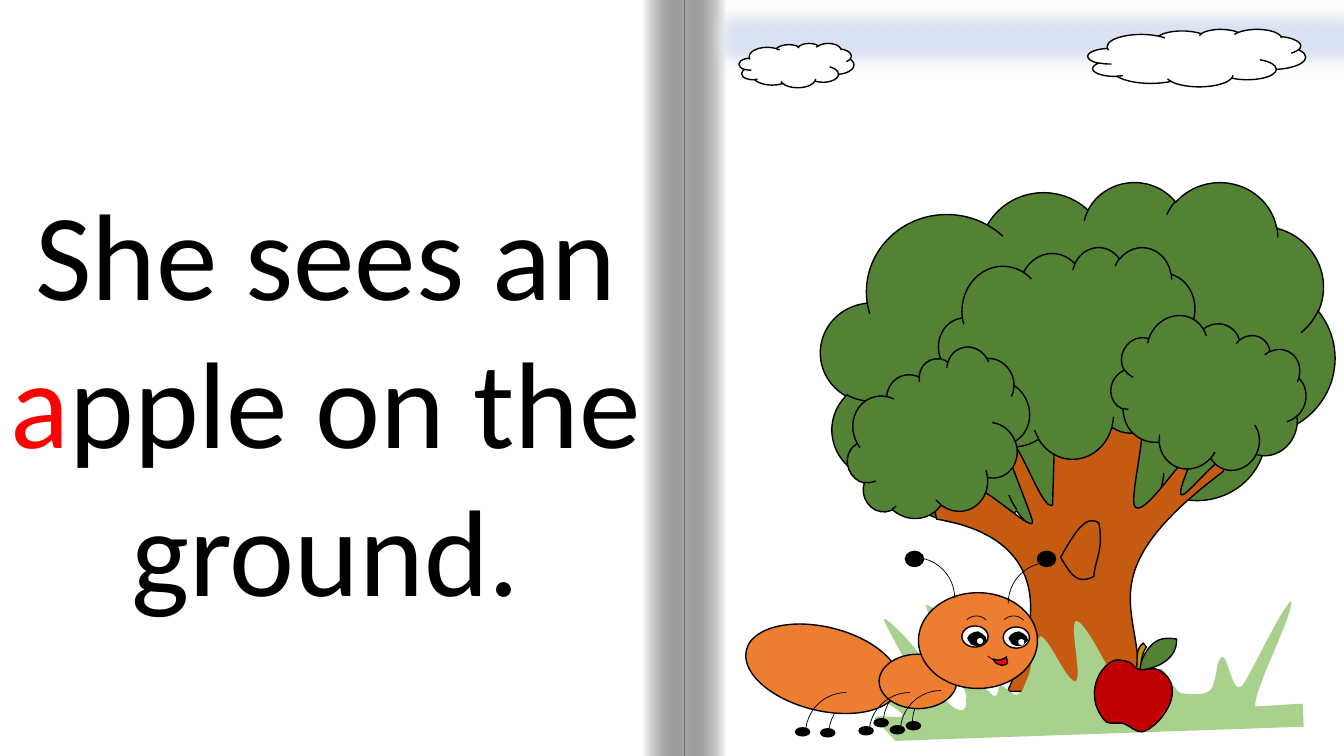
import math
from dataclasses import dataclass
from typing import Optional, Union

from lxml import etree
from pptx import Presentation
from pptx import util as u
from pptx.dml.color import RGBColor
from pptx.enum import shapes, text
from pptx.oxml.ns import qn

COLUMNS, ROWS = 13.33, 7.5
COLUMN, ROW = u.Emu(12192000) / COLUMNS, u.Emu(6858000) / ROWS
KIND = shapes.MSO_SHAPE
Point = tuple[float, float]


@dataclass(frozen=True)
class Theme:
    ink: str = "000000"
    paper: str = "FFFFFF"
    accent: str = "FF0000"
    leaf: str = "548235"
    bark: str = "C55A11"
    grass: str = "A9D18E"
    sky: str = "DAE3F3"
    ant: str = "ED7D31"
    stem: str = "BF9000"
    apple: str = "C00000"
    shine: str = "F6F8FC"
    font: str = "Calibri"
    story: float = 88
    outline: float = 1
    hair: float = 0.5


THEME = Theme()


@dataclass(frozen=True)
class Gradient:
    start: str
    end: str
    angle: float
    end_at: float = 1
    end_alpha: int = 100


Paint = Union[str, Gradient, None]


@dataclass(frozen=True)
class Part:
    col: float
    row: float
    cols: float
    rows: float
    fill: Paint = None
    line: Optional[str] = THEME.ink
    weight: float = THEME.outline
    turn: float = 0
    flips: str = ""
    soft: float = 0
    kind: KIND = KIND.RECTANGLE
    route: str = ""
    shift: float = 0

    def frame(self) -> list[int]:
        return [round(n) for n in (
            (self.col + self.shift) * COLUMN, self.row * ROW, self.cols * COLUMN, self.rows * ROW)]


def cloud(col: float, row: float, cols: float, rows: float, fill: str, turn: float = 0) -> Part:
    return Part(col, row, cols, rows, fill, turn=turn, kind=KIND.CLOUD)


def oval(col: float, row: float, cols: float, rows: float, fill: str, turn: float = 0) -> Part:
    return Part(col, row, cols, rows, fill, turn=turn, kind=KIND.OVAL)


def arc(col: float, row: float, size: float = 0.81, turn: float = 0, flips: str = "H") -> Part:
    return Part(col, row, size, size, weight=THEME.hair, turn=turn, flips=flips, kind=KIND.ARC)


def page(col: float, cols: float, fill: Paint) -> Part:
    return Part(col, 0, cols, ROWS, fill, line=None)


def eye(shift: float, drop: float) -> list[Part]:
    return [
        oval(9.54 + shift, 6.21 + drop, 0.26, 0.21, THEME.paper),
        Part(9.62, 6.25, 0.13, 0.18, THEME.ink, turn=280.7, route=PUPIL, shift=shift),
        Part(9.69 + shift, 6.33 + drop, 0.06, 0.06, THEME.paper, line=None, kind=KIND.OVAL),
    ]


def trace(part: Part) -> list[list[Point]]:
    mid_col, mid_row = part.col + part.cols / 2, part.row + part.rows / 2
    cos, sin = math.cos(math.radians(part.turn)), math.sin(math.radians(part.turn))
    steps = []
    for step in part.route.split("|"):
        numbers = [float(number) for number in step.split()]
        offsets = [(x - mid_col, y - mid_row) for x, y in zip(numbers[::2], numbers[1::2])]
        steps.append([((x * cos + y * sin + part.cols / 2) * COLUMN,
                       (y * cos - x * sin + part.rows / 2) * ROW) for x, y in offsets])
    return steps


def outline(canvas, part: Part):
    steps = trace(part)
    builder = canvas.build_freeform(*steps[0][0])
    builder.add_line_segments([step[-1] for step in steps[1:]], close=True)
    shape = builder.convert_to_shape()
    shape.left, shape.top, shape.width, shape.height = part.frame()
    route = next(shape.element.spPr.iter(qn("a:path")))
    route.set("w", str(shape.width))
    route.set("h", str(shape.height))
    for node in list(route):
        route.remove(node)
    for index, step in enumerate(steps):
        tag = "a:moveTo" if index == 0 else "a:cubicBezTo" if len(step) == 3 else "a:lnTo"
        move = etree.SubElement(route, qn(tag))
        for x, y in step:
            etree.SubElement(move, qn("a:pt"), x=str(round(x)), y=str(round(y)))
    etree.SubElement(route, qn("a:close"))
    return shape


def paint(shape, part: Part) -> None:
    shape.shadow.inherit = False
    if part.soft:
        effects = shape.element.spPr.find(qn("a:effectLst"))
        etree.SubElement(effects, qn("a:softEdge"), rad=str(u.Pt(part.soft)))
    if part.fill is None:
        shape.fill.background()
    elif isinstance(part.fill, Gradient):
        shape.fill.gradient()
        shape.fill.gradient_angle = part.fill.angle
        first, last = shape.fill.gradient_stops
        first.color.rgb = RGBColor.from_string(part.fill.start)
        last.color.rgb = RGBColor.from_string(part.fill.end)
        first.position, last.position = 0, part.fill.end_at
        if part.fill.end_alpha < 100:
            tint = list(shape.element.spPr.iter(qn("a:srgbClr")))[-1]
            etree.SubElement(tint, qn("a:alpha"), val=str(part.fill.end_alpha * 1000))
    else:
        shape.fill.solid()
        shape.fill.fore_color.rgb = RGBColor.from_string(part.fill)
    if part.line is None:
        shape.line.fill.background()
    else:
        shape.line.color.rgb = RGBColor.from_string(part.line)
        shape.line.width = u.Pt(part.weight)


def draw(canvas, parts: list[Part]) -> None:
    for part in parts:
        shape = outline(canvas, part) if part.route else canvas.add_shape(part.kind, *part.frame())
        shape.rotation = part.turn
        for axis in part.flips:
            shape.element.spPr.xfrm.set(f"flip{axis}", "1")
        paint(shape, part)


def write_story(canvas) -> None:
    frame = canvas.add_textbox(*Part(-0.21, 1.71, 6.88, 4.54).frame()).text_frame
    frame.word_wrap = True
    frame.auto_size = text.MSO_AUTO_SIZE.SHAPE_TO_FIT_TEXT
    sentence = frame.paragraphs[0]
    sentence.alignment = text.PP_ALIGN.CENTER
    for words, color in (("She sees an ", THEME.ink), ("a", THEME.accent), ("pple on the ground.", THEME.ink)):
        run = sentence.add_run()
        run.text = words
        run.font.name, run.font.size = THEME.font, u.Pt(THEME.story)
        run.font.color.rgb = RGBColor.from_string(color)


TRUNK = "10.47 4.02|11.27 4.02|11.45 4.07 11.18 4.95 11.26 5.03|11.35 5.12 11.67 4.61 11.78 4.54|11.89 4.47 11.66 4.88 11.72 4.91|11.78 4.93 12.24 4.31 12.13 4.68|10.69 5.76 11.41 6.09 11.27 6.86|10 6.86|9.93 6.9 10.89 5.42 9.29 5.15|9.21 4.82 9.4 4.86 9.52 4.87|9.56 4.59 10.27 5.34 10.24 5.17|10.2 5.01 9.91 4.36 9.99 4.37|10.09 4.3 10.34 5.09 10.44 5.01|10.47 4.02"
GRASS = "8.68 7.13|8.65 7.07 8.98 7.15 8.95 7.09|8.91 7.02 8.57 6.86 8.53 6.75|8.5 6.64 8.91 6.73 9.14 7|9.21 6.89 8.73 6.15 8.77 6.14|8.81 6.13 9.28 6.59 9.4 6.97|9.54 7.1 9.6 7.05 9.58 6.93|9.65 6.93 9.13 6 9.19 6|9.68 6.2 9.64 6.81 9.8 6.85|9.92 7 9.88 6.8 9.93 6.8|9.97 6.81 10.04 6.91 10.09 6.89|10.15 6.87 10.15 6.81 10.19 6.73|10.23 6.66 10.25 6.36 10.32 6.31|10.42 6.35 10.56 6.73 10.66 6.76|10.75 6.76 10.59 6.16 10.68 6.16|10.81 6.21 11.03 6.78 11.16 6.83|11.2 6.82 11.23 6.68 11.26 6.67|11.32 6.68 11.33 6.82 11.39 6.83|11.43 6.83 11.47 6.64 11.51 6.63|11.58 6.65 11.64 6.86 11.72 6.88|11.79 6.88 11.93 6.91 12 6.85|12.07 6.79 12.06 6.5 12.13 6.52|12.19 6.54 12.23 6.93 12.33 6.79|12.43 6.64 12.72 6.01 12.81 5.96|12.82 6.12 12.43 6.85 12.45 7.01|12.92 6.98|12.93 7.21|8.88 7.35|8.68 7.13"
HOLLOW = "10.52 5.53|10.65 5.3 10.77 5.09 10.9 5.19|10.95 5.46 10.86 5.55 10.85 5.72|10.68 5.8 10.63 5.71 10.52 5.53"
PUPIL = "9.6 6.33|9.61 6.35|9.62 6.38 9.64 6.4 9.67 6.4|9.7 6.41 9.73 6.4 9.75 6.38|9.78 6.35|9.77 6.32|9.75 6.3 9.73 6.28 9.7 6.27|9.67 6.27 9.65 6.28 9.62 6.3|9.6 6.33"
LEAF = "11.29 6.65|11.4 6.28 11.58 6.33 11.67 6.34|11.68 6.59 11.37 6.65 11.29 6.65"
STEM = "11.34 6.38|11.37 6.42|11.32 6.49 11.32 6.59 11.3 6.67|11.27 6.66|11.29 6.57 11.25 6.44 11.34 6.38"
APPLE = "11.11 6.55|11.25 6.56 11.23 6.62 11.29 6.64|11.36 6.66 11.45 6.61 11.5 6.65|11.81 6.84 11.48 7.23 11.33 7.26|11.27 7.27 11.21 7.2 11.15 7.18|11.09 7.16 10.99 7.2 10.95 7.14|10.71 6.84 10.98 6.51 11.11 6.55"
MOUTH = "9.85 6.54|9.91 6.56 9.93 6.55 9.98 6.52|9.98 6.55 10.01 6.57 9.98 6.59|9.97 6.6 9.89 6.62 9.85 6.54"

FOLD = [page(0, 6.37, THEME.paper)] + [
    page(col, 0.42, Gradient(THEME.paper, THEME.ink, angle, end_alpha=34)) for col, angle in ((6.79, 180), (6.37, 0))]
TREE = [
    cloud(8.14, 1.8, 5.1, 3.6, THEME.leaf),
    Part(9.27, 4.02, 2.87, 2.83, THEME.bark, route=TRUNK),
    cloud(9.31, 2.45, 2.6, 2.1, THEME.leaf),
    cloud(11.03, 3.17, 1.89, 1.52, THEME.leaf, 26.5),
    cloud(8.37, 3.59, 1.89, 1.52, THEME.leaf, 338.5),
    Part(8.53, 5.91, 4.37, 1.42, THEME.grass, line=None, turn=356.8, route=GRASS),
    Part(10.52, 5.16, 0.4, 0.59, route=HOLLOW),
]
SKY = [
    Part(6.96, -0.05, 6.67, 0.85, THEME.sky, THEME.sky, soft=12.5),
    cloud(7.33, 0.43, 1.14, 0.44, THEME.paper),
    cloud(10.79, 0.29, 2.16, 0.57, THEME.paper),
]
FEET = ((8.99, 7.16), (8.83, 7.2), (8.67, 7.13), (8.52, 7.21), (8.14, 7.23), (7.89, 7.22))
ANT = [
    *(arc(*leg) for leg in ((9.05, 6.76), (8.76, 6.77), (8.22, 6.88))),
    oval(7.38, 6.22, 1.56, 0.83, THEME.ant, 13.8),
    oval(8.72, 6.49, 0.77, 0.54, THEME.ant),
    oval(9.11, 5.88, 1.18, 0.95, THEME.ant),
    *(arc(*leg) for leg in ((7.99, 6.87), (8.62, 6.87), (8.93, 6.85))),
    arc(8.66, 5.53, flips=""),
    arc(10, 5.58),
    *(oval(col, 5.47, 0.18, 0.15, THEME.ink) for col in (8.98, 10.29)),
    *(oval(*foot, 0.14, 0.08, THEME.ink) for foot in FEET),
    *(arc(col, 6.11, 0.27, 316.5, "") for col in (9.55, 9.92)),
    *eye(0, 0),
    *eye(0.41, 0.01),
    arc(9.76, 6.28, 0.27, 316.5, "HV"),
]
FRUIT = [
    Part(11.23, 6.38, 0.49, 0.21, THEME.leaf, turn=327.8, route=LEAF),
    Part(11.28, 6.37, 0.07, 0.3, THEME.stem, turn=9, route=STEM),
    Part(10.85, 6.58, 0.76, 0.64, Gradient(THEME.shine, THEME.apple, 160, end_at=0.23), turn=14.7, route=APPLE),
]


def main() -> None:
    book = Presentation()
    book.slide_width, book.slide_height = round(COLUMN * COLUMNS), round(ROW * ROWS)
    spread = book.slides.add_slide(book.slide_layouts[6]).shapes
    draw(spread.add_group_shape().shapes, FOLD)
    write_story(spread)
    draw(spread.add_group_shape().shapes, TREE)
    draw(spread, SKY)
    for figure in (ANT, FRUIT):
        draw(spread.add_group_shape().shapes, figure)
    draw(spread, [Part(9.85, 6.52, 0.14, 0.07, THEME.accent, route=MOUTH)])
    book.save("out.pptx")


if __name__ == "__main__":
    main()
